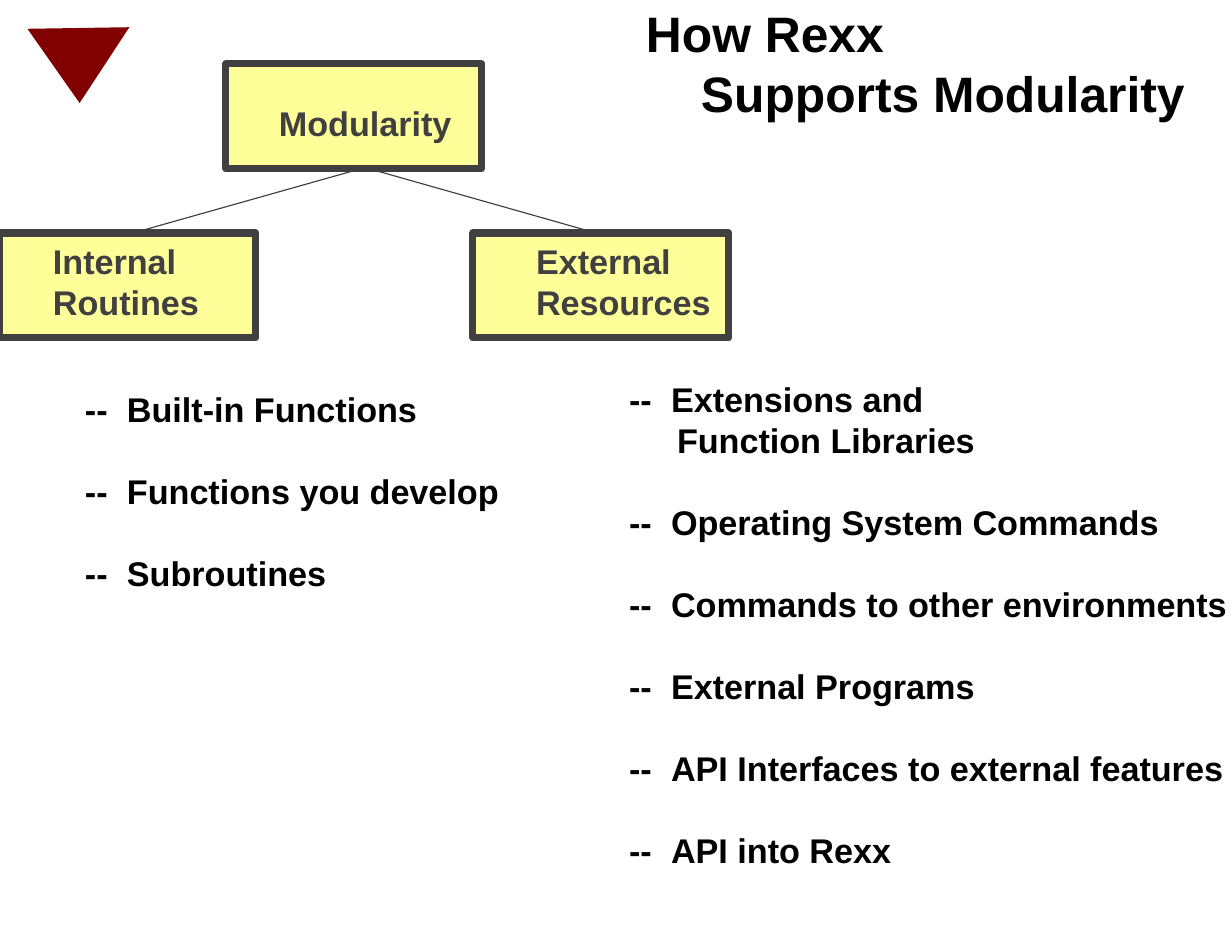
from dataclasses import dataclass

from lxml import etree
from pptx import Presentation
from pptx.dml.color import RGBColor
from pptx.enum.shapes import MSO_CONNECTOR, MSO_SHAPE
from pptx.enum.text import MSO_ANCHOR, MSO_AUTO_SIZE, PP_ALIGN
from pptx.oxml.ns import qn
from pptx.util import Emu, Pt

RECTANGLE = MSO_SHAPE.RECTANGLE
TRIANGLE = MSO_SHAPE.ISOSCELES_TRIANGLE
STRAIGHT = MSO_CONNECTOR.STRAIGHT
LEFT = PP_ALIGN.LEFT
TOP = MSO_ANCHOR.TOP
FIT_SHAPE = MSO_AUTO_SIZE.SHAPE_TO_FIT_TEXT

PX_PER_INCH = 112
TITLE_ONLY = 5


def px(value):
    return Emu(value * 914400 // PX_PER_INCH)


@dataclass(frozen=True)
class Theme:
    font: str = "Arial"
    ink: RGBColor = RGBColor(0, 0, 0)
    grey: RGBColor = RGBColor(0x40, 0x40, 0x40)
    yellow: RGBColor = RGBColor(0xFF, 0xFF, 0x99)
    red: RGBColor = RGBColor(0x81, 0, 0)
    title_size: int = 32
    body_size: int = 22
    leading: float = 1.2
    box_line: float = 4.5
    link_line: float = 0.75


class SlideBuilder:
    def __init__(self, slide, theme):
        self.slide = slide
        self.theme = theme

    def set_lines(self, shape, lines, size, color):
        """Fill a text shape; each line is (text, left margin, first indent, gap before)."""
        frame = shape.text_frame
        frame.word_wrap = False
        frame.auto_size = FIT_SHAPE
        frame.vertical_anchor = TOP
        frame.margin_left = frame.margin_right = px(12)
        frame.margin_top = frame.margin_bottom = px(7)
        frame.text = "\n".join(text for text, *_ in lines)
        for paragraph, (_, margin, indent, gap) in zip(frame.paragraphs, lines):
            properties = paragraph._p.get_or_add_pPr()
            properties.set("marL", str(px(margin)))
            properties.set("indent", str(px(indent)))
            paragraph.alignment = LEFT
            paragraph.line_spacing = Pt(size * self.theme.leading)
            paragraph.space_before = Pt(gap)
            for run in paragraph.runs:
                run.font.name = self.theme.font
                run.font.size = Pt(size)
                run.font.bold = True
                run.font.color.rgb = color

    def title(self, lines, left, top, width, height):
        shape = self.slide.shapes.title
        shape.left, shape.top = px(left), px(top)
        shape.width, shape.height = px(width), px(height)
        self.set_lines(shape, lines, self.theme.title_size, self.theme.ink)

    def text(self, lines, left, top, width, height, color):
        shape = self.slide.shapes.add_textbox(px(left), px(top), px(width), px(height))
        self.set_lines(shape, lines, self.theme.body_size, color)

    def dash_list(self, items, left, top, width, height):
        """Dashed items one line apart; later lines of an item sit slightly deeper."""
        gap = self.theme.body_size * self.theme.leading
        lines = []
        for item in items:
            first, *rest = item.split("\n")
            lines.append((f"--\t{first}", 42, -42, gap if lines else 0))
            lines += [(text, 48, 0, 0) for text in rest]
        self.text(lines, left, top, width, height, self.theme.ink)

    def shape(self, kind, left, top, width, height, fill, line=None):
        shape = self.slide.shapes.add_shape(kind, px(left), px(top), px(width), px(height))
        shape.shadow.inherit = False
        shape.fill.solid()
        shape.fill.fore_color.rgb = fill
        if line is None:
            shape.line.fill.background()
        else:
            shape.line.color.rgb = line
            shape.line.width = Pt(self.theme.box_line)
        return shape

    def link(self, start_x, start_y, end_x, end_y):
        line = self.slide.shapes.add_connector(
            STRAIGHT, px(start_x), px(start_y), px(end_x), px(end_y))
        line.line.color.rgb = self.theme.grey
        line.line.width = Pt(self.theme.link_line)
        etree.SubElement(line._element.spPr, qn("a:effectLst"))


def main():
    theme = Theme()
    presentation = Presentation()
    presentation.slide_width = px(11 * PX_PER_INCH)
    presentation.slide_height = px(952)
    slide = presentation.slides.add_slide(presentation.slide_layouts[TITLE_ONLY])
    builder = SlideBuilder(slide, theme)

    # Title
    builder.title([("How Rexx", 0, 0, 0), ("Supports Modularity", 55, 0, 0)],
                  634, -4, 564, 132)

    # Lists
    builder.dash_list(["Built-in Functions", "Functions you develop", "Subroutines"],
                      73, 381, 439, 217)
    builder.dash_list(["Extensions and\nFunction Libraries",
                       "Operating System Commands",
                       "Commands to other environments",
                       "External Programs",
                       "API Interfaces to external features",
                       "API into Rexx"],
                      617, 371, 623, 505)

    # Hierarchy boxes: left, top
    box_width, box_height = 256, 105
    root_top, child_top = 64, 233
    for left, top in [(226, root_top), (0, child_top), (473, child_top)]:
        builder.shape(RECTANGLE, left, top, box_width, box_height, theme.yellow, theme.grey)

    # Links from the root to its children
    for start_x, end_x in [(360, 133), (370, 596)]:
        builder.link(start_x, root_top + box_height, end_x, child_top)

    # Box labels: text, left, top, width, height
    for label, left, top, width, height in [
        ("Internal\nRoutines", 41, child_top, 171, 95),
        ("Modularity", 267, 95, 198, 54),
        ("External\nResources", 524, child_top, 199, 95),
    ]:
        lines = [(text, 0, 0, 0) for text in label.split("\n")]
        builder.text(lines, left, top, width, height, theme.grey)

    # Corner marker
    marker = builder.shape(TRIANGLE, 28, 28, 102, 75, theme.red)
    marker.rotation = 179.1

    presentation.save("out.pptx")


if __name__ == "__main__":
    main()
